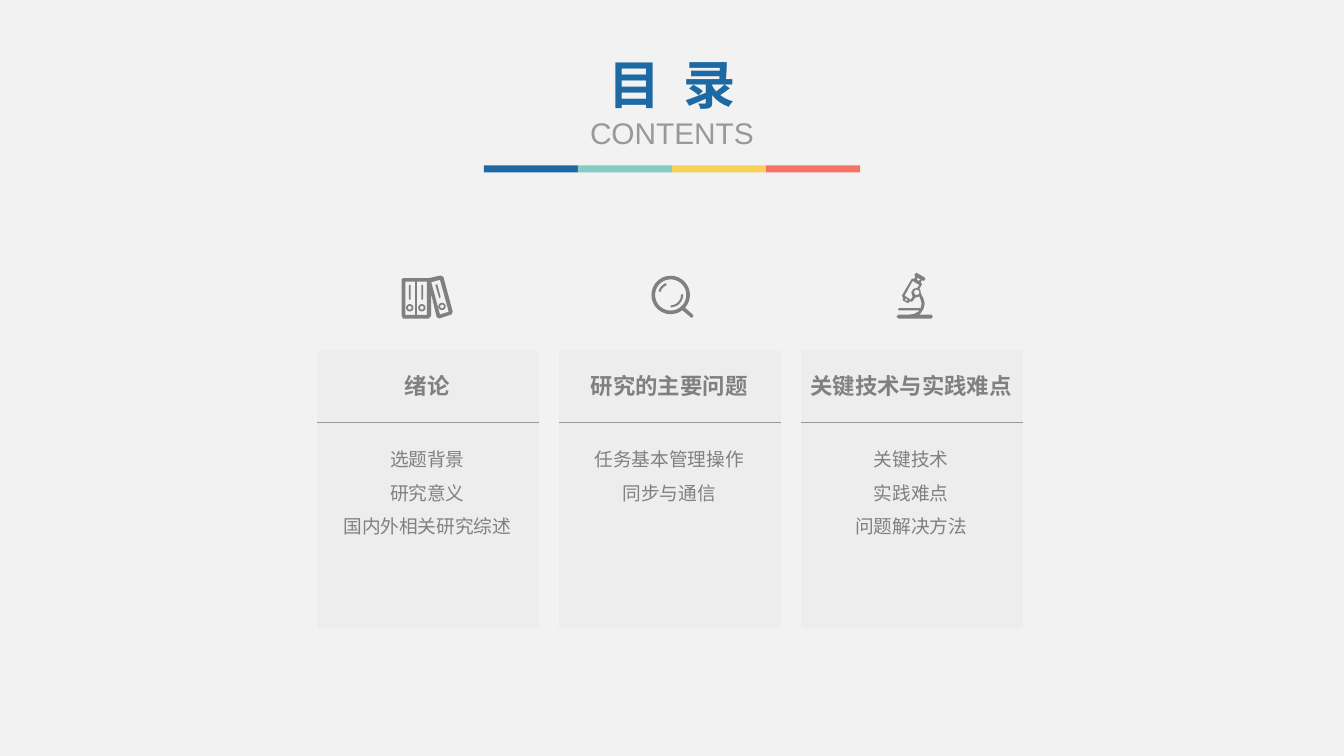
from math import cos, radians, sin

from lxml.etree import SubElement
from pptx import Presentation
from pptx.dml.color import RGBColor
from pptx.enum.shapes import MSO_CONNECTOR, MSO_SHAPE
from pptx.enum.text import MSO_AUTO_SIZE, PP_ALIGN
from pptx.oxml.ns import qn
from pptx.util import Pt

FONT = "Roboto Condensed"
GRAY, RULE = "808080", "999999"
STRIPES = ["1D69A3", "84CBC3", "F8D158", "F57365"]
CARD_LEFT, CARD_TOP, CARD_WIDTH, CARD_HEIGHT, CARD_STEP = 170, 187.9, 118.8, 149, 129.6
ICON_UNIT = 0.72


def color(value):
    return RGBColor.from_string(value)


def add_box(page, left, top, width, height, fill, opacity=100):
    box = page.shapes.add_shape(MSO_SHAPE.RECTANGLE, Pt(left), Pt(top), Pt(width), Pt(height))
    box.shadow.inherit = False
    box.line.fill.background()
    box.fill.solid()
    box.fill.fore_color.rgb = color(fill)
    if opacity < 100:
        tint = box.fill._xPr.find(qn("a:solidFill"))[0]
        SubElement(tint, qn("a:alpha"), val=str(opacity * 1000))


def add_rule(page, left, top, width):
    rule = page.shapes.add_connector(
        MSO_CONNECTOR.STRAIGHT, Pt(left), Pt(top), Pt(left + width), Pt(top))
    rule.line.color.rgb = color(RULE)
    rule.line.width = Pt(0.5)
    SubElement(rule._element.spPr, qn("a:effectLst"))


def style_paragraph(para, size, font, tint, bold=False, spacing=None):
    para.alignment = PP_ALIGN.CENTER
    para.line_spacing = spacing
    for span in para.runs:
        span.font.size = Pt(size)
        span.font.name = font
        span.font.bold = bold
        span.font.color.rgb = color(tint)


def add_text(page, left, top, width, height, lines, wrap=False):
    box = page.shapes.add_textbox(Pt(left), Pt(top), Pt(width), Pt(height))
    frame = box.text_frame
    frame.text = "\n".join(lines)
    frame.word_wrap = wrap
    frame.auto_size = MSO_AUTO_SIZE.SHAPE_TO_FIT_TEXT
    return frame.paragraphs


def arc(x, y, radius, start=0, end=360, steps=36):
    angles = [radians(start + (end - start) * step / steps) for step in range(steps + 1)]
    return [(x + radius * cos(angle), y + radius * sin(angle)) for angle in angles]


def ring(x, y, outer, inner):
    return [arc(x, y, outer), arc(x, y, inner)]


def band(x, y, outer, inner, start, end):
    return arc(x, y, outer, start, end) + arc(x, y, inner, end, start)


def rectangle(left, top, right, bottom):
    return [(left, top), (right, top), (right, bottom), (left, bottom)]


def binders():
    outline = [(0, 3), (1, 2), (20, 2), (29, 0), (31, 1), (38, 27), (37, 29), (28, 32),
               (26, 31), (22, 14), (22, 30), (20, 32), (1, 32), (0, 30)]
    return [
        outline,
        rectangle(2.7, 4.5, 10, 29.3), rectangle(11.3, 4.5, 18.8, 29.3),
        [(22, 5), (28.5, 3.2), (35, 27), (28.5, 29)],
        rectangle(5.4, 7, 6.7, 18), rectangle(14.7, 7, 16, 18),
        [(25, 7), (26.5, 6.5), (29, 16), (28, 17)],
        *ring(6, 24, 2.7, 1.4), *ring(15, 24, 2.7, 1.4), *ring(30, 23, 2.7, 1.4),
    ]


def magnifier():
    x, y = 14.2, 14.5
    handle = [(25, 24), (31, 29.5), (30.8, 31), (29.5, 31.4), (23, 26)]
    return [
        arc(x, y, 14.3, 52, 401) + handle,
        arc(x, y, 11.6),
        band(x, y, 9.5, 7.9, 197, 248),
        band(x, y, 9.2, 7.7, -3, 90),
    ]


def microscope():
    body = [(18, 15), (20, 19), (21, 23), (20, 27), (18, 30), (17, 31), (26, 31),
            (27, 32.5), (26, 34), (1.5, 34), (0, 32.5), (1.5, 31), (10, 31), (13, 30.5),
            (16, 29), (17, 28), (2, 28), (1, 27), (2, 26.3), (18, 26.3), (18.7, 23),
            (18, 20), (17, 17.5), (15, 18.3), (14, 18.3), (12, 21), (11, 21.5), (10, 21),
            (9, 22.3), (8, 22.3), (5, 20.7), (4.6, 19.5), (5, 18.5), (4, 17), (11, 5),
            (12, 4.2), (13, 4.6), (14, 3), (13.3, 1), (15, 0), (21, 3.5), (21.5, 5),
            (20, 6), (19, 5.4), (18, 7), (19, 8.5), (17, 12), (18, 13.5)]
    tube = [(15.7, 11), (17, 9), (12, 6), (6, 17), (10.7, 20), (12, 17.5), (11, 14.5),
            (12.5, 12)]
    return [
        body, tube, arc(15, 14.5, 2),
        [(18, 5), (15.7, 3.7), (15, 5), (16.4, 6)],
        [(7, 19), (6, 20), (8, 21), (8.4, 20)],
    ]


def add_icon(page, left, top, contours):
    scaled = [[(round(x * ICON_UNIT * 100), round(y * ICON_UNIT * 100)) for x, y in contour]
              for contour in contours]
    builder = page.shapes.build_freeform(*scaled[0][0], scale=Pt(0.01))
    builder.add_line_segments(scaled[0][1:], close=True)
    for contour in scaled[1:]:
        builder.move_to(*contour[0])
        builder.add_line_segments(contour[1:], close=True)
    icon = builder.convert_to_shape(Pt(left), Pt(top))
    icon.shadow.inherit = False
    icon.line.fill.background()
    icon.fill.solid()
    icon.fill.fore_color.rgb = color(GRAY)


def add_header(page):
    for index, stripe in enumerate(STRIPES):
        add_box(page, 259.2 + index * 50.4, 88.6, 50.4, 3.7, stripe)
    title, subtitle = add_text(page, 301.7, 24.5, 116.6, 60.5, ["目 录", "CONTENTS"], True)
    style_paragraph(title, 28, FONT, STRIPES[0], True)
    title.runs[0].font._element.set("spc", "300")
    style_paragraph(subtitle, 16, "Arial", RULE)


def add_card(page, left, heading, heading_width, topics, topics_width):
    add_box(page, left, CARD_TOP, CARD_WIDTH, CARD_HEIGHT, "D9D9D9", 20)
    add_rule(page, left, 226.1, CARD_WIDTH)
    center = left + CARD_WIDTH / 2 - 0.5
    for para in add_text(page, center - heading_width / 2, 195.8, heading_width, 21.6, [heading]):
        style_paragraph(para, 12, FONT, GRAY, True)
    height = 7.2 + 18.2 * len(topics)
    for para in add_text(page, center - topics_width / 2, 230.4, topics_width, height, topics):
        style_paragraph(para, 10, FONT, GRAY, spacing=1.5)


def main():
    deck = Presentation()
    deck.slide_width, deck.slide_height = Pt(720), Pt(405)
    page = deck.slides.add_slide(deck.slide_layouts[6])
    page.background.fill.solid()
    page.background.fill.fore_color.rgb = color("F2F2F2")
    add_header(page)
    cards = [
        ("绪论", 89.3, ["选题背景", "研究意义", "国内外相关研究综述"], 105.1),
        ("研究的主要问题", 99.4, ["任务基本管理操作", "同步与通信"], 95),
        ("关键技术与实践难点", 123.8, ["关键技术", "实践难点", "问题解决方法"], 74.9),
    ]
    for index, card in enumerate(cards):
        add_card(page, CARD_LEFT + index * CARD_STEP, *card)
    add_icon(page, 215.2, 147.6, binders())
    add_icon(page, 349.1, 147.6, magnifier())
    add_icon(page, 480.3, 146.2, microscope())
    deck.save("out.pptx")


if __name__ == "__main__":
    main()
